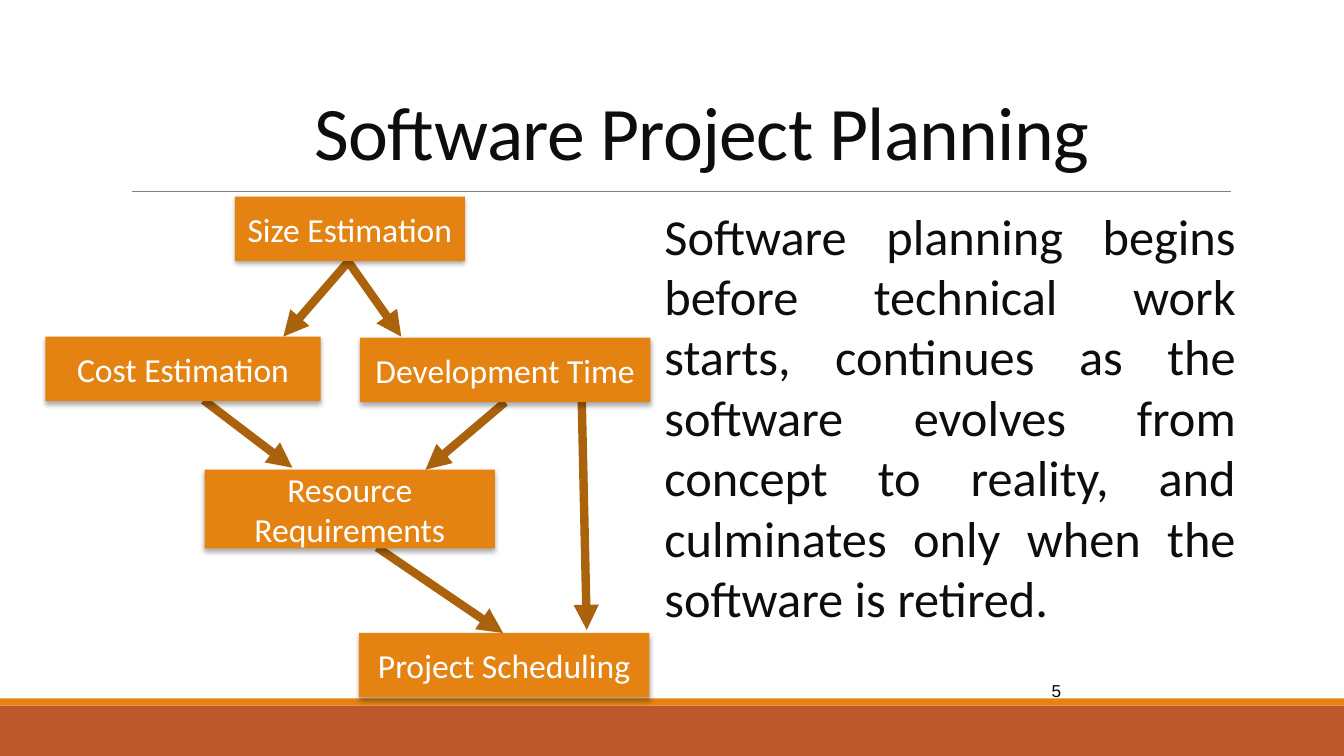
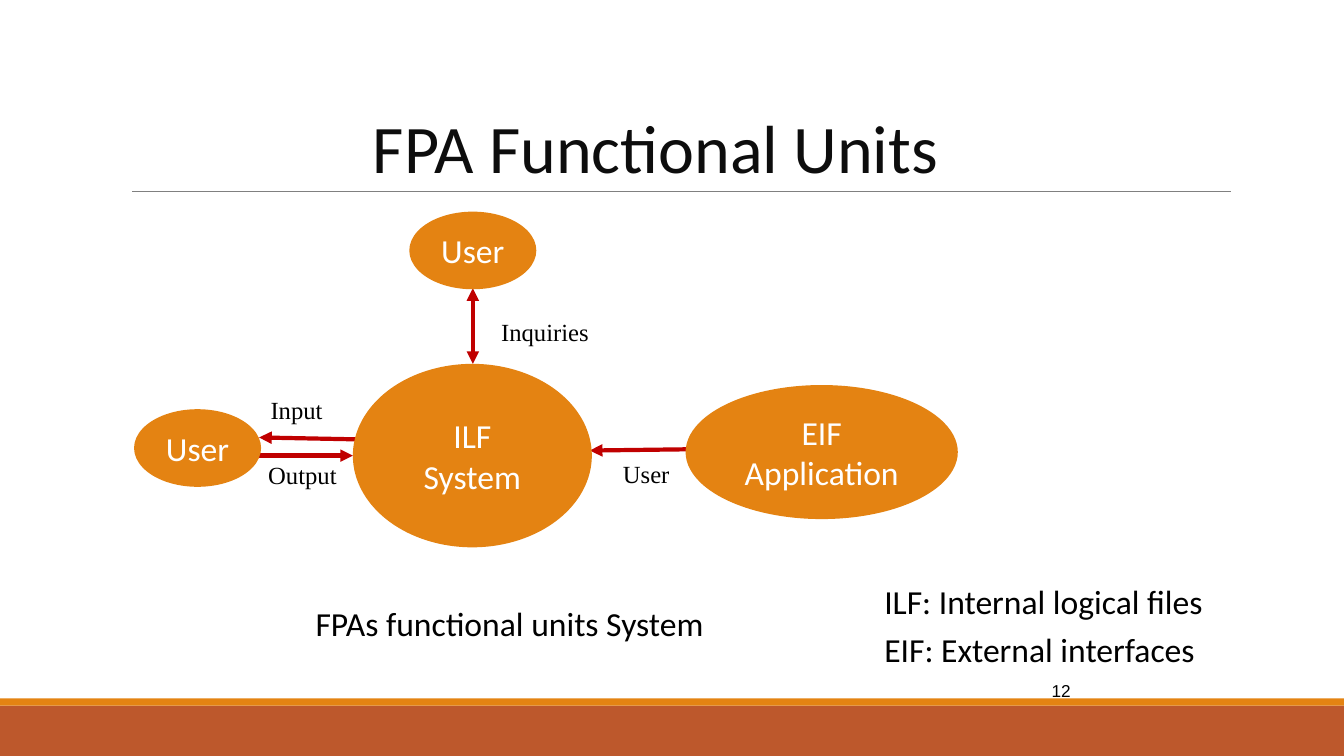
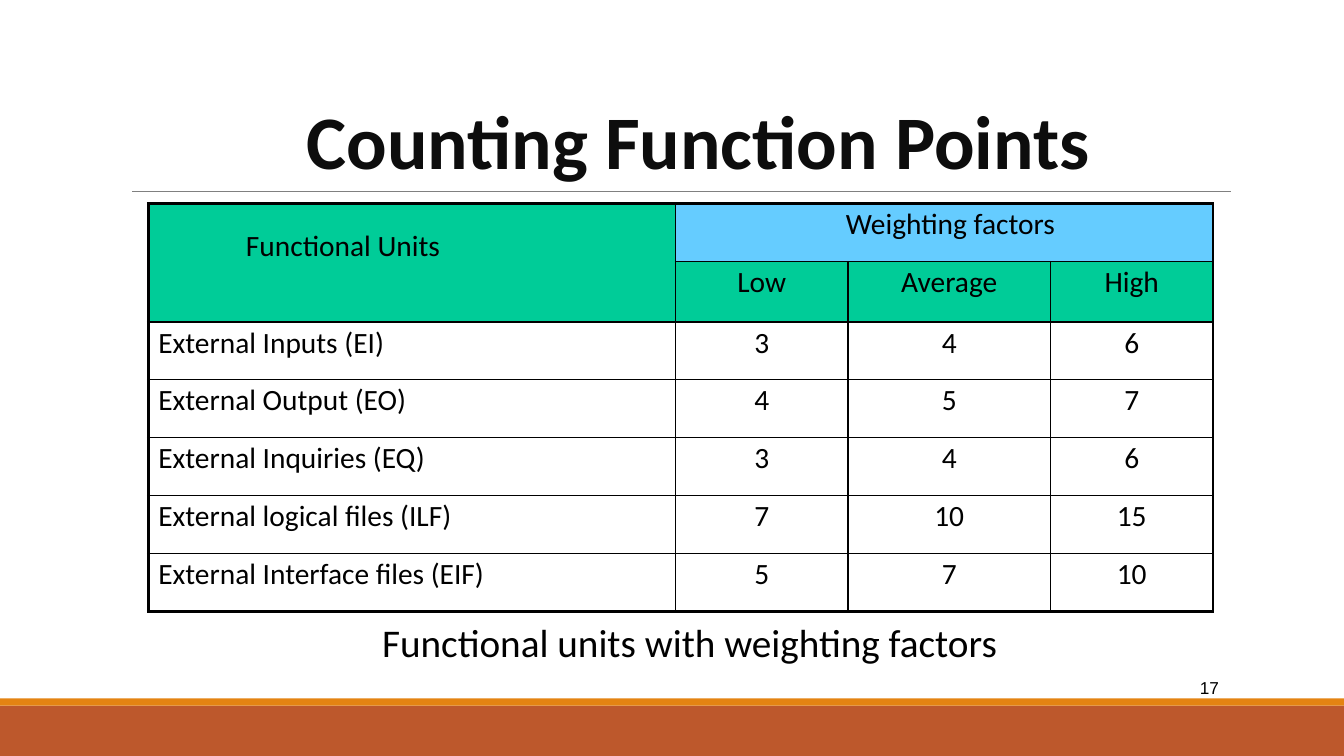
from lxml.etree import SubElement
from pptx import Presentation
from pptx.dml.color import RGBColor
from pptx.enum.shapes import MSO_CONNECTOR, MSO_SHAPE
from pptx.enum.text import MSO_ANCHOR as ANCHOR, PP_ALIGN as ALIGN
from pptx.oxml.ns import qn
from pptx.util import Inches, Pt

COLORS = {
    "band": "BD582C", "orange": "E48312", "rule": "808080", "brown": "AB620D",
    "red": "C00000", "ink": "0D0D0D", "black": "000000", "white": "FFFFFF",
    "green": "00CC98", "sky": "65CCFF",
}
RGB = {name: RGBColor.from_string(value) for name, value in COLORS.items()}
FLAT = (0, 0.01, 0, 0)
INSET = (0.1, 0.05, 0.1, 0.05)


def write(box, lines, size, color="black", face="Calibri", bold=False, align=ALIGN.LEFT,
          anchor=ANCHOR.TOP, ins=FLAT, spacing=None, before=None, track=0):
    tf = getattr(box, "text_frame", box)
    for side, value in zip(("left", "top", "right", "bottom"), ins):
        setattr(box, f"margin_{side}", Inches(value))
    box.vertical_anchor = anchor
    tf.word_wrap = True
    for i, line in enumerate(lines):
        p = tf.paragraphs[0] if i == 0 else tf.add_paragraph()
        p.alignment, p.line_spacing, p.space_before = align, spacing, before
        r = p.add_run()
        r.text = line
        for key, value in {"name": face, "size": Pt(size), "bold": bold}.items():
            setattr(r.font, key, value)
        r.font.color.rgb = RGB[color]
        if track:
            r.font._element.set("spc", str(track))


def connect(s, ends, color, width, heads=()):
    line = s.shapes.add_connector(MSO_CONNECTOR.STRAIGHT, *map(Inches, ends))
    line.line.color.rgb = RGB[color]
    line.line.width = Pt(width)
    ln = line.line._get_or_add_ln()
    for head in heads:
        SubElement(ln, qn(f"a:{head}"), type="triangle")
    SubElement(line.element.spPr, qn("a:effectLst"))
    return line


prs = Presentation()
prs.slide_width, prs.slide_height = Inches(13.33), Inches(7.5)
blank = prs.slide_layouts[6]
planning, units, points = [prs.slides.add_slide(blank) for _ in range(3)]

shared = [connect(planning, (1.31, 1.9, 12.21, 1.9), "rule", 0.5)]
for top, height, color in ((7, 0.5, "band"), (6.93, 0.07, "orange")):
    band = planning.shapes.add_shape(
        MSO_SHAPE.RECTANGLE, 0, Inches(top), prs.slide_width, Inches(height))
    band.shadow.inherit = False
    band.fill.solid()
    band.fill.fore_color.rgb = RGB[color]
    band.line.fill.background()
    shared.append(band)
for sp in shared:
    blank.shapes.element.append(sp.element)

for ends in (
    (3.46, 2.59, 2.81, 3.34), (3.45, 2.59, 3.98, 3.34), (2.02, 3.97, 2.9, 4.64),
    (5.01, 3.99, 4.22, 4.66), (3.74, 5.43, 4.99, 6.28), (5.77, 3.97, 5.82, 6.25),
):
    connect(planning, ends, "brown", 6, ["tailEnd"])
for ends, heads in (
    ((7.39, 4.45, 5.85, 4.47), ["tailEnd"]),
    ((3.6, 4.36, 2.57, 4.34), ["tailEnd"]),
    ((2.57, 4.52, 3.5, 4.52), ["tailEnd"]),
    ((4.69, 2.86, 4.69, 3.61), ["headEnd", "tailEnd"]),
):
    connect(units, ends, "red", 3, heads)

RECT, OVAL = MSO_SHAPE.RECTANGLE, MSO_SHAPE.OVAL
for s, kind, at, lines in (
    (planning, RECT, (3.56, 6.28, 2.88, 0.64), ["Project Scheduling"]),
    (planning, RECT, (2.33, 1.95, 2.28, 0.64), ["Size Estimation"]),
    (planning, RECT, (0.45, 3.34, 2.73, 0.64), ["Cost Estimation"]),
    (planning, RECT, (2.03, 4.66, 2.88, 0.78), ["Resource Requirements"]),
    (planning, RECT, (3.57, 3.35, 2.88, 0.64), ["Development Time"]),
    (units, OVAL, (1.33, 4.06, 1.26, 0.77), ["User"]),
    (units, OVAL, (6.8, 3.82, 2.7, 1.33), ["EIF", "Application"]),
    (units, OVAL, (3.5, 3.61, 2.37, 1.82), ["ILF", "System"]),
    (units, OVAL, (4.06, 2.1, 1.26, 0.77), ["User"]),
):
    sp = s.shapes.add_shape(kind, *map(Inches, at))
    sp.shadow.inherit = False
    sp.fill.solid()
    sp.fill.fore_color.rgb = RGB["orange"]
    sp.line.fill.background()
    if kind == RECT:
        effects = sp.element.spPr.find(qn("a:effectLst"))
        shadow = SubElement(effects, qn("a:outerShdw"), blurRad=str(Pt(3.5)),
                            dist=str(Pt(2.2)), dir="5400000", rotWithShape="0")
        tint = SubElement(shadow, qn("a:srgbClr"), val=COLORS["black"])
        SubElement(tint, qn("a:alpha"), val="32000")
    write(sp.text_frame, lines, 24, "white", align=ALIGN.CENTER, anchor=ANCHOR.MIDDLE, ins=INSET)

TITLE = {"size": 54, "color": "ink", "anchor": ANCHOR.BOTTOM}
LABEL = {"size": 17.6, "face": "Times New Roman", "align": ALIGN.RIGHT, "ins": (0, 0.01, 1.08, 0)}
NUMBER = {"size": 12.3, "face": "Arial", "ins": (0.04, 0, 0, 0), "spacing": Pt(12.9)}
for s, at, lines, look in (
    (planning, (3.12, 0.82, 7.97, 0.92), ["Software Project Planning"], TITLE | {"track": -50}),
    (planning, (6.59, 2.02, 5.67, 4.25),
     ["Software planning begins before technical work starts, continues as the software "
      "evolves from concept to reality, and culminates only when the software is retired."],
     {"size": 36, "color": "ink", "align": ALIGN.JUSTIFY, "spacing": 1.0, "before": Pt(0.9)}),
    (planning, (10.39, 6.77, 0.27, 0.18), ["5"], NUMBER),
    (units, (3.6, 0.95, 6.22, 0.96), ["FPA Functional Units"],
     TITLE | {"size": 48.6, "ins": INSET, "spacing": 0.85}),
    (units, (5.87, 4.54, 1.85, 0.31), ["User"], LABEL),
    (units, (2.43, 3.91, 1.85, 0.31), ["Input"], LABEL),
    (units, (2.57, 4.55, 1.85, 0.31), ["Output"], LABEL),
    (units, (4.15, 3.13, 2.02, 0.31), ["Inquiries"],
     LABEL | {"align": ALIGN.CENTER, "ins": (0.49, 0.01, 0, 0)}),
    (units, (8.77, 5.67, 3.78, 0.98), ["ILF: Internal logical files", "EIF: External interfaces"],
     {"size": 24, "spacing": 1.2}),
    (units, (3.13, 5.97, 4.37, 0.42), ["FPAs functional units System"], {"size": 24}),
    (units, (10.39, 6.77, 0.27, 0.18), ["12"], NUMBER),
    (points, (3.04, 1.05, 8.61, 0.78), ["Counting Function Points"],
     TITLE | {"bold": True, "spacing": 0.85}),
    (points, (3.79, 6.12, 6.5, 0.48), ["Functional units with weighting factors"], {"size": 28}),
    (points, (11.86, 6.74, 0.27, 0.18), ["17"], NUMBER),
):
    write(s.shapes.add_textbox(*map(Inches, at)).text_frame, lines, **look)

rows = [
    ("Functional Units", "Weighting factors", "", ""),
    ("", "Low", "Average", "High"),
    ("External Inputs (EI)", "3", "4", "6"),
    ("External Output (EO)", "4", "5", "7"),
    ("External Inquiries (EQ)", "3", "4", "6"),
    ("External logical files (ILF)", "7", "10", "15"),
    ("External Interface files (EIF)", "5", "7", "10"),
]
table = points.shapes.add_table(
    len(rows), 4, Inches(1.47), Inches(2.02), Inches(10.55), Inches(4.02)).table
table.first_row = table.horz_banding = False
for column, width in zip(table.columns, (5.23, 1.71, 2.01, 1.61)):
    column.width = Inches(width)
table.cell(0, 0).merge(table.cell(1, 0))
table.cell(0, 1).merge(table.cell(0, 3))
special = {(0, 0): (0.97, 0.25, 0, 0), (0, 1): (1.69, 0.03, 0, 0)}
for i, row in enumerate(rows):
    for j, text in enumerate(row):
        cell = table.cell(i, j)
        outer = {"L": j == 0, "R": j + cell.span_width == 4,
                 "T": i == 0, "B": i + cell.span_height == len(rows)}
        for side, edge in outer.items():
            ln = SubElement(cell._tc.get_or_add_tcPr(), qn(f"a:ln{side}"),
                            w=str(Pt(2.25 if edge else 1)))
            SubElement(SubElement(ln, qn("a:solidFill")), qn("a:srgbClr"), val=COLORS["black"])
        if i < 2:
            cell.fill.solid()
            cell.fill.fore_color.rgb = RGB["sky" if i == 0 and j else "green"]
        else:
            cell.fill.background()
        if text:
            centred = j > 0 and (i, j) not in special
            write(cell, [text], 21, align=ALIGN.CENTER if centred else ALIGN.LEFT,
                  ins=special.get((i, j), (0 if j else 0.1, 0.03, 0, 0)))

prs.save("out.pptx")
